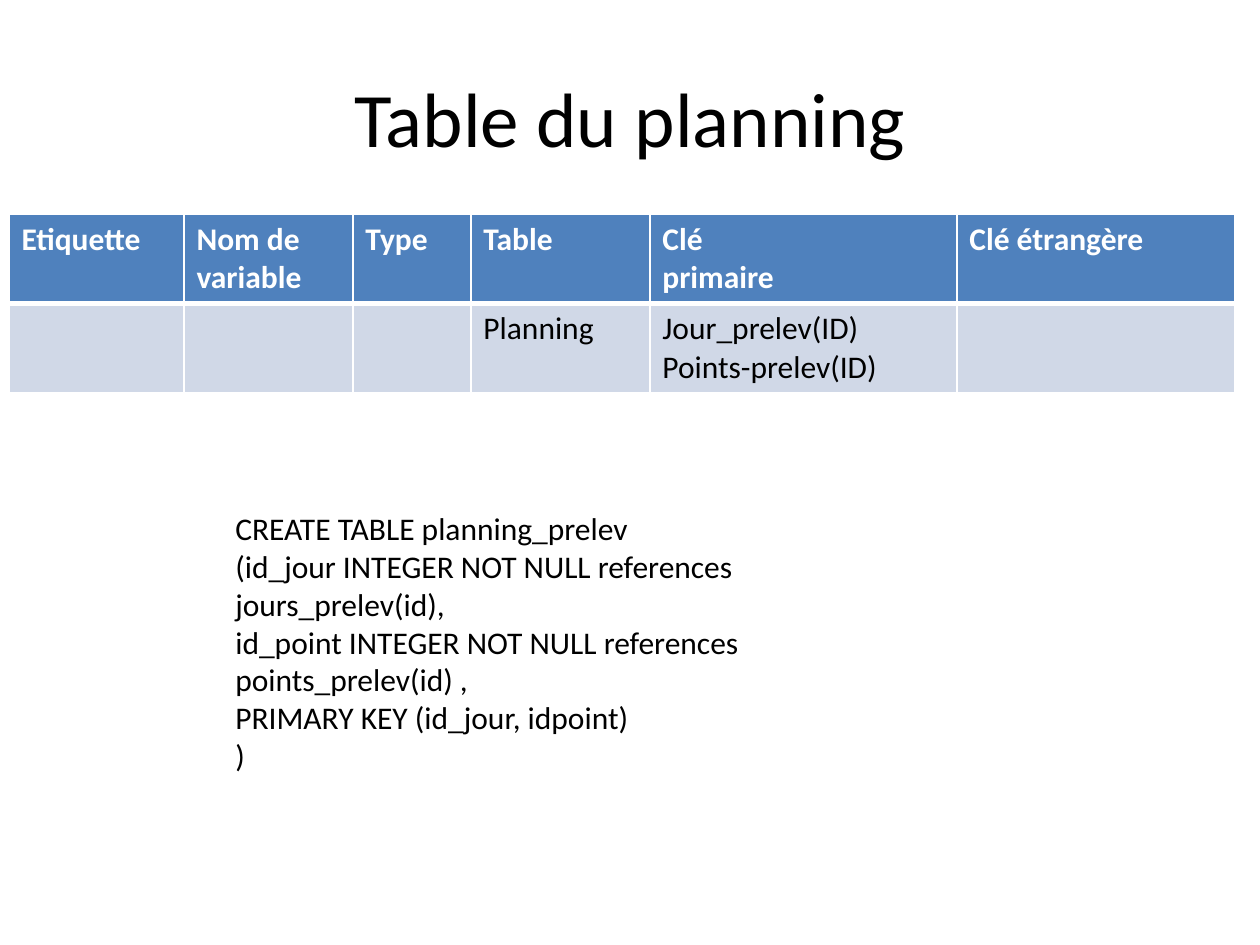
import pptx
import pptx.util
import pptx.dml.color
import pptx.enum.text
import pptx.oxml.ns
from lxml import etree

SCALE = 914400 / 126
WHITE, BLACK, BLUE, PALE = "FFFFFF", "000000", "4F81BD", "D0D8E7"
HEADS = ["Etiquette", "Nom de variable", "Type", "Table", "Clé \nprimaire", "Clé étrangère"]
KEYS = ["", "", "", "Planning", "Jour_prelev(ID)\nPoints-prelev(ID)", ""]
WIDTHS = [175, 169, 118, 179, 307, 278]
QUERY = """CREATE TABLE planning_prelev
(id_jour INTEGER NOT NULL references jours_prelev(id),
id_point INTEGER NOT NULL references points_prelev(id) ,
PRIMARY KEY (id_jour, idpoint)
)"""


def px(count):
    """Turn picture pixels into EMU."""
    return pptx.util.Emu(round(count * SCALE))


def paint(code):
    """Turn a hex string into a colour."""
    return pptx.dml.color.RGBColor.from_string(code)


def write(frame, text, size, color, bold=False, align=None):
    """Fill a text frame, one paragraph a line."""
    frame.text = text
    for para in frame.paragraphs:
        para.alignment = align
        font = para.font
        font.name, font.size, font.bold = "Calibri", pptx.util.Pt(size), bold
        font.color.rgb = paint(color)


def edge(cell, side, width):
    """Draw one white border of a cell."""
    qn = pptx.oxml.ns.qn
    props = cell._tc.get_or_add_tcPr()
    line = etree.SubElement(props, qn("a:" + side), w=str(pptx.util.Pt(width)))
    fill = etree.SubElement(line, qn("a:solidFill"))
    etree.SubElement(fill, qn("a:srgbClr"), val=WHITE)


def add_head(slide, box):
    """Place the slide title."""
    title = slide.shapes.title
    title.left, title.top, title.width, title.height = map(px, box)
    title.text_frame.vertical_anchor = pptx.enum.text.MSO_ANCHOR.MIDDLE
    write(title.text_frame, "Table du planning", 44, BLACK,
          align=pptx.enum.text.PP_ALIGN.CENTER)


def add_grid(slide, box):
    """Place the table of keys."""
    grid = slide.shapes.add_table(2, len(WIDTHS), *map(px, box)).table
    for col, width in zip(grid.columns, WIDTHS):
        col.width = px(width)
    rows = [(HEADS, WHITE, BLUE, True, (0.96, 3)),
            (KEYS, BLACK, PALE, False, (3, 0.96))]
    for row, (texts, ink, back, bold, (top, base)) in zip(grid.rows, rows):
        for cell, text in zip(row.cells, texts):
            write(cell.text_frame, text, 18, ink, bold)
            for side, width in zip(("lnL", "lnR", "lnT", "lnB"), (0.96, 0.96, top, base)):
                edge(cell, side, width)
            cell.fill.solid()
            cell.fill.fore_color.rgb = paint(back)


def add_query(slide, box):
    """Place the SQL statement."""
    frame = slide.shapes.add_textbox(*map(px, box)).text_frame
    frame.word_wrap = True
    write(frame, QUERY, 18, BLACK)


def main():
    """Build and save the slide."""
    deck = pptx.Presentation()
    deck.slide_width, deck.slide_height = px(1260), px(945)
    slide = deck.slides.add_slide(deck.slide_layouts[5])
    add_head(slide, (63, 38, 1134, 157))
    add_grid(slide, (9, 214, sum(WIDTHS), 176))
    add_query(slide, (223, 503, 665, 277))
    deck.save("out.pptx")


main()
